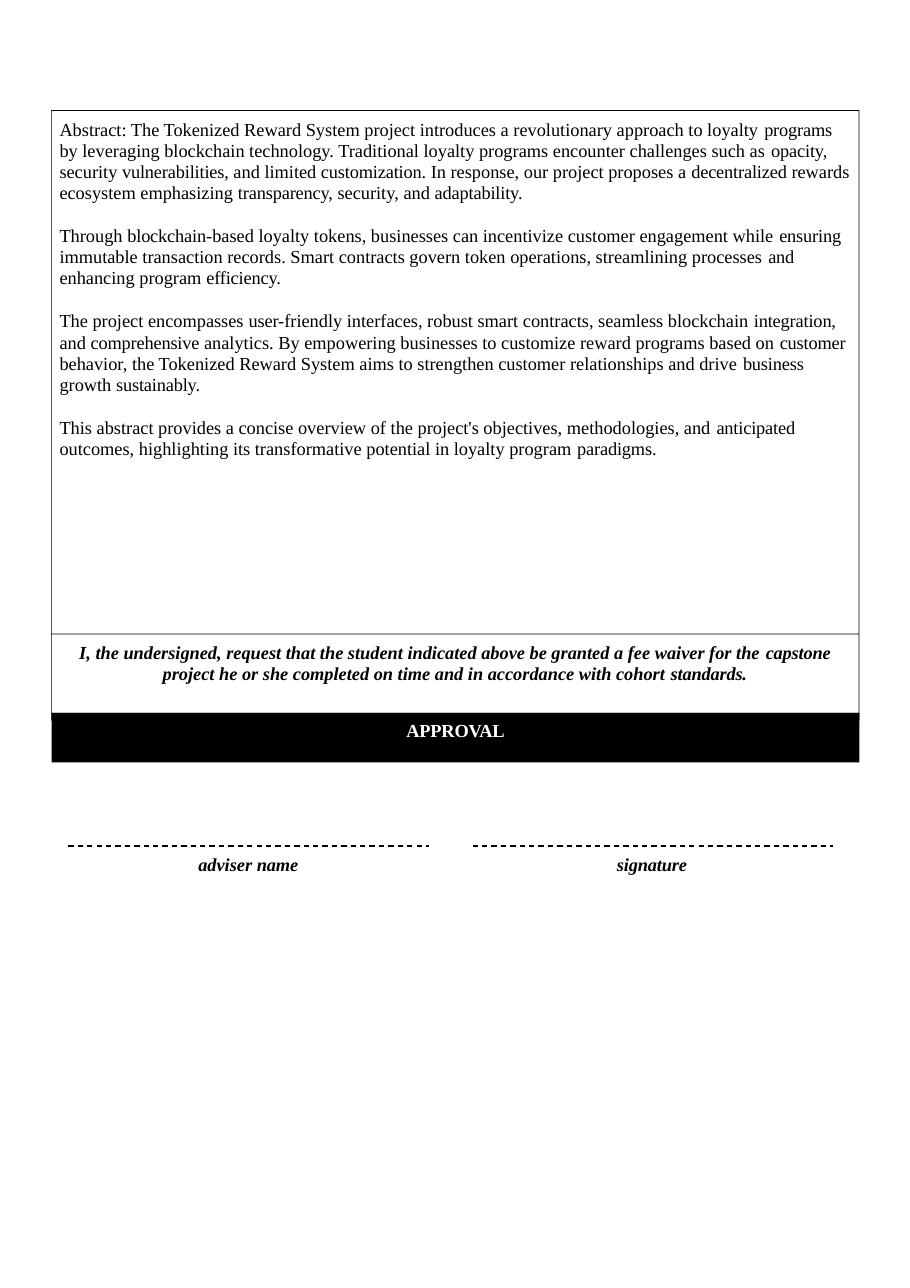
import pptx
import pptx.util
import pptx.dml.color
import pptx.enum.dml
import pptx.enum.shapes
import pptx.enum.text
from lxml import etree

Inches, Pt = pptx.util.Inches, pptx.util.Pt
BLACK = pptx.dml.color.RGBColor(0, 0, 0)
WHITE = pptx.dml.color.RGBColor(255, 255, 255)
LEFT, CENTER = pptx.enum.text.PP_ALIGN.LEFT, pptx.enum.text.PP_ALIGN.CENTER
DASH = pptx.enum.dml.MSO_LINE.DASH
DRAWING = "{http://schemas.openxmlformats.org/drawingml/2006/main}"

# Form grid: frame edges, row boundaries and signature columns
FRAME_LEFT, FRAME_RIGHT = 0.47, 7.8
ABSTRACT_TOP, REQUEST_TOP, APPROVAL_TOP, APPROVAL_BOTTOM = 1.0, 5.75, 6.47, 6.92
SIGN_LEFT, SIGN_TOP, SIGN_WIDTH, SIGN_STEP = 0.62, 7.68, 3.27, 3.67
RULE = Pt(0.48)

deck = pptx.Presentation()
deck.slide_width, deck.slide_height = Inches(8.26), Inches(11.69)
page = deck.slides.add_slide(deck.slide_layouts[6])


def add_outline(contours):
    builder = page.shapes.build_freeform(*contours[0][0], scale=1.0)
    for index, points in enumerate(contours):
        if index:
            builder.move_to(*points[0])
        builder.add_line_segments(points[1:], close=True)
    outline = builder.convert_to_shape()
    outline.shadow.inherit = False
    outline.fill.solid()
    outline.fill.fore_color.rgb = BLACK
    outline.line.fill.background()


def add_text(area, inset, texts, color, font_format, para_format, gap=0):
    """Every second part of a text, split at "|", is set slightly tighter."""
    box = page.shapes.add_textbox(*[Inches(length) for length in area])
    frame = box.text_frame
    margins = {"margin_left": 0, "margin_right": 0, "margin_bottom": 0, "margin_top": Inches(inset)}
    for name, value in {"word_wrap": True, **margins}.items():
        setattr(frame, name, value)
    for index, text in enumerate(texts):
        para = frame.paragraphs[0] if index == 0 else frame.add_paragraph()
        for name, value in para_format.items():
            setattr(para, name, value)
        if index:
            para.space_before = Pt(gap)
        for part, words in enumerate(text.split("|")):
            if not words:
                continue
            span = para.add_run()
            span.text = words
            span.font.color.rgb = color
            for name, value in font_format.items():
                setattr(span.font, name, value)
            if part % 2:
                span.font._element.set("spc", "-10")


PLAIN = {"name": "Times New Roman", "size": Pt(12)}
BOLD = {**PLAIN, "bold": True}
BOLD_ITALIC = {**BOLD, "italic": True}

# Abstract
abstract = [
    "Abstract: The Tokenized Reward System project introduces a revolutionary approach to loyalty "
    "|programs |by leveraging blockchain technology. Traditional loyalty programs encounter challenges "
    "such as |opacity, |security| vulnerabilities, |and limited| customization. |In response, our project "
    "proposes a |decentralized |rewards ecosystem emphasizing |transparency, |security, and |adaptability.",
    "Through |blockchain-|based loyalty tokens, businesses can incentivize customer engagement while "
    "|ensuring |immutable transaction records. Smart contracts govern token operations, streamlining "
    "processes |and |enhancing program |efficiency.",
    "The project encompasses |user-|friendly interfaces, robust smart contracts, seamless blockchain "
    "|integration, |and |comprehensive |analytics. By empowering businesses to customize reward programs "
    "based on |customer |behavior, the Tokenized Reward System aims to strengthen customer "
    "relationships and drive |business |growth |sustainably.",
    "This abstract provides a concise overview of the project's objectives, methodologies, and "
    "|anticipated |outcomes, highlighting its transformative potential in loyalty program |paradigms.",
]
add_text((0.54, 1.05, 7.18, 3.1), 0.03, abstract, BLACK, PLAIN,
         {"alignment": LEFT, "line_spacing": Pt(13.8), "space_before": Pt(1.9)}, gap=14.3)

# Frame with its rules and the approval bar
left, right = Inches(FRAME_LEFT), Inches(FRAME_RIGHT)
top, middle = Inches(ABSTRACT_TOP), Inches(REQUEST_TOP)
bar_top, bar_bottom = Inches(APPROVAL_TOP), Inches(APPROVAL_BOTTOM)
bands = [
    (left - RULE, top, left, bar_top),
    (right - RULE, top, right, bar_top),
    (left, top, right - RULE, top + RULE),
    (left, middle, right - RULE, middle + RULE),
    (left, bar_top, right, bar_bottom),
]
add_outline([[(x1, y1), (x2, y1), (x2, y2), (x1, y2)] for x1, y1, x2, y2 in bands])

# Fee waiver request
request = ("I, the undersigned, request that the student indicated above be granted a fee waiver for the "
           "|capstone |project he or she completed on time and in accordance with cohort |standards.")
add_text((0.7, 5.8, 6.86, 0.42), 0.03, [request], BLACK, BOLD_ITALIC,
         {"alignment": CENTER, "line_spacing": Pt(13.8), "space_before": Pt(1.9)})

# Approval heading
add_text((FRAME_LEFT, APPROVAL_TOP, FRAME_RIGHT - FRAME_LEFT, APPROVAL_BOTTOM - APPROVAL_TOP),
         0.06, ["|APPROVAL"], WHITE, BOLD, {"alignment": CENTER, "space_before": Pt(4.7)})

# Bracket along the top of the approval bar
leg_bottom = bar_top + Inches(0.07)
add_outline([[
    (left - RULE, bar_top), (right, bar_top), (right, leg_bottom), (right - RULE, leg_bottom),
    (right - RULE, bar_top + RULE), (left, bar_top + RULE), (left, leg_bottom),
    (left - RULE, leg_bottom),
]])

# Signature lines with their captions
captions = [("adviser |name", 1.8, 0.94), ("|signature", 5.6, 0.68)]
for column, (caption, caption_left, width) in enumerate(captions):
    start = SIGN_LEFT + column * SIGN_STEP
    line = page.shapes.add_connector(
        pptx.enum.shapes.MSO_CONNECTOR.STRAIGHT,
        Inches(start), Inches(SIGN_TOP), Inches(start + SIGN_WIDTH), Inches(SIGN_TOP))
    line.line.color.rgb = BLACK
    for name, value in {"width": Pt(0.89), "dash_style": DASH}.items():
        setattr(line.line, name, value)
    etree.SubElement(line._element.spPr, DRAWING + "effectLst")
    add_text((caption_left, SIGN_TOP + 0.05, width, 0.23), 0.01, [caption], BLACK, BOLD_ITALIC,
             {"alignment": LEFT, "space_before": Pt(1)})

deck.save("out.pptx")
